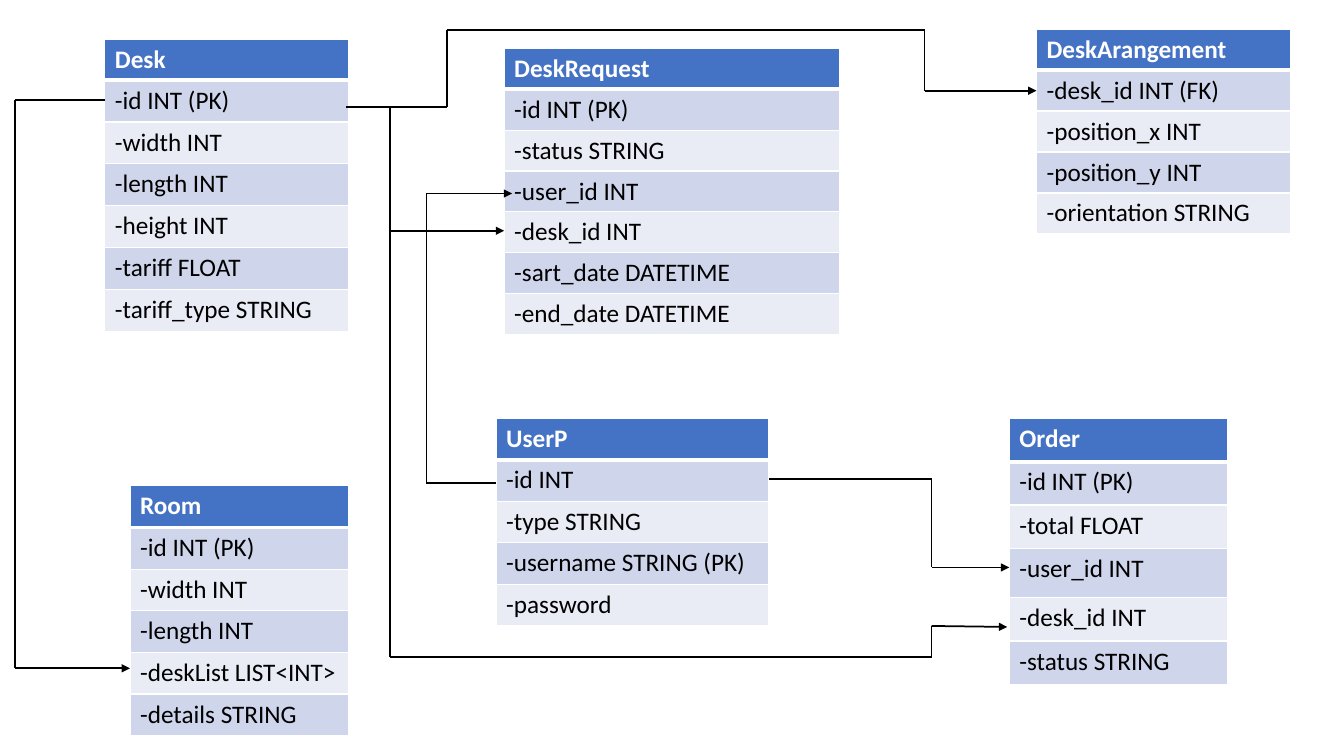
from lxml.etree import SubElement
from pptx import Presentation
from pptx.dml.color import RGBColor
from pptx.enum.shapes import MSO_CONNECTOR
from pptx.oxml.ns import qn
from pptx.util import Inches, Pt

# Slide grid: positions and lengths below count these columns and rows
COLUMNS, ROWS = 1333, 750
WIDTH, HEIGHT = Inches(13.33), Inches(7.5)

FONT, TEXT_SIZE = "Calibri", 18
WHITE, BLACK, HEADER = "FFFFFF", "000000", "4472C4"
BANDS = ("CFD5EA", "E9EBF5")

# Entities: name, (left, top, width, height), fields, rows of fixed height
ENTITIES = [
    ("Desk", (104, 39, 242, 287),
     ["-id INT (PK)", "-width INT", "-length INT", "-height INT",
      "-tariff FLOAT", "-tariff_type STRING"], {0: 38}),
    ("UserP", (492, 415, 270, 206),
     ["-id INT", "-type STRING", "-username STRING (PK)", "-password"], {}),
    ("DeskRequest", (500, 48, 333, 284),
     ["-id INT (PK)", "-status STRING", "-user_id INT", "-desk_id INT",
      "-sart_date DATETIME", "-end_date DATETIME"], {}),
    ("Room", (129, 482, 217, 248),
     ["-id INT (PK)", "-width INT", "-length INT",
      "-deskList LIST<INT>", "-details STRING"], {}),
    ("DeskArangement", (1028, 29, 252, 203),
     ["-desk_id INT (FK)", "-position_x INT", "-position_y INT",
      "-orientation STRING"], {}),
    ("Order", (1001, 415, 217, 264),
     ["-id INT (PK)", "-total FLOAT", "-user_id INT", "-desk_id INT",
      "-status STRING"], {3: 49}),
]

# Relations: corner points, each ending in an arrowhead
RELATIONS = [
    [(104, 99), (15, 99), (15, 663), (129, 663)],                # Desk to Room
    [(492, 479), (423, 479), (423, 192), (508, 192)],            # UserP to DeskRequest
    [(387, 229), (500, 229)],                                    # Desk to DeskRequest
    [(343, 106), (443, 106), (443, 30), (917, 30), (917, 90),
     (1028, 90)],                                                # Desk to DeskArangement
    [(763, 475), (924, 475), (924, 563), (1001, 563)],           # UserP to Order
    [(387, 106), (387, 652), (924, 652), (924, 621), (999, 622)],  # Desk to Order
]


def color(value):
    return RGBColor.from_string(value)


def across(columns):
    return round(WIDTH * columns / COLUMNS)


def down(rows):
    return round(HEIGHT * rows / ROWS)


def add_borders(cell, bottom_width):
    properties = cell._tc.get_or_add_tcPr()
    for side, width in (("L", 1), ("R", 1), ("T", 1), ("B", bottom_width)):
        line = SubElement(properties, qn(f"a:ln{side}"), w=str(Pt(width)))
        fill = SubElement(line, qn("a:solidFill"))
        SubElement(fill, qn("a:srgbClr"), val=WHITE)


def add_entity(slide, name, box, fields, fixed_rows):
    left, top, width, height = box
    texts = [name, *fields]
    shared = (height - sum(fixed_rows.values())) / (len(texts) - len(fixed_rows))
    table = slide.shapes.add_table(len(texts), 1, across(left), down(top),
                                   across(width), down(height)).table
    table.first_row = table.horz_banding = False
    for index, text in enumerate(texts):
        is_header = index == 0
        table.rows[index].height = down(fixed_rows.get(index, shared))
        cell = table.cell(index, 0)
        add_borders(cell, 3 if is_header else 1)
        cell.fill.solid()
        cell.fill.fore_color.rgb = color(HEADER if is_header else BANDS[(index - 1) % 2])
        run = cell.text_frame.paragraphs[0].add_run()
        run.text = text
        run.font.name, run.font.size = FONT, Pt(TEXT_SIZE)
        run.font.bold = is_header
        run.font.color.rgb = color(WHITE if is_header else BLACK)


def add_relation(slide, points):
    for start, end in zip(points, points[1:]):
        connector = slide.shapes.add_connector(
            MSO_CONNECTOR.STRAIGHT, across(start[0]), down(start[1]),
            across(end[0]), down(end[1]))
        connector.line.color.rgb = color(BLACK)
        connector.line.width = Pt(1.25)
        SubElement(connector._element.spPr, qn("a:effectLst"))
    # Arrowhead on the last segment
    SubElement(connector.line._get_or_add_ln(), qn("a:tailEnd"), type="triangle")


def main():
    presentation = Presentation()
    presentation.slide_width, presentation.slide_height = WIDTH, HEIGHT
    slide = presentation.slides.add_slide(presentation.slide_layouts[6])
    for entity in ENTITIES:
        add_entity(slide, *entity)
    for points in RELATIONS:
        add_relation(slide, points)
    presentation.save("out.pptx")


if __name__ == "__main__":
    main()
